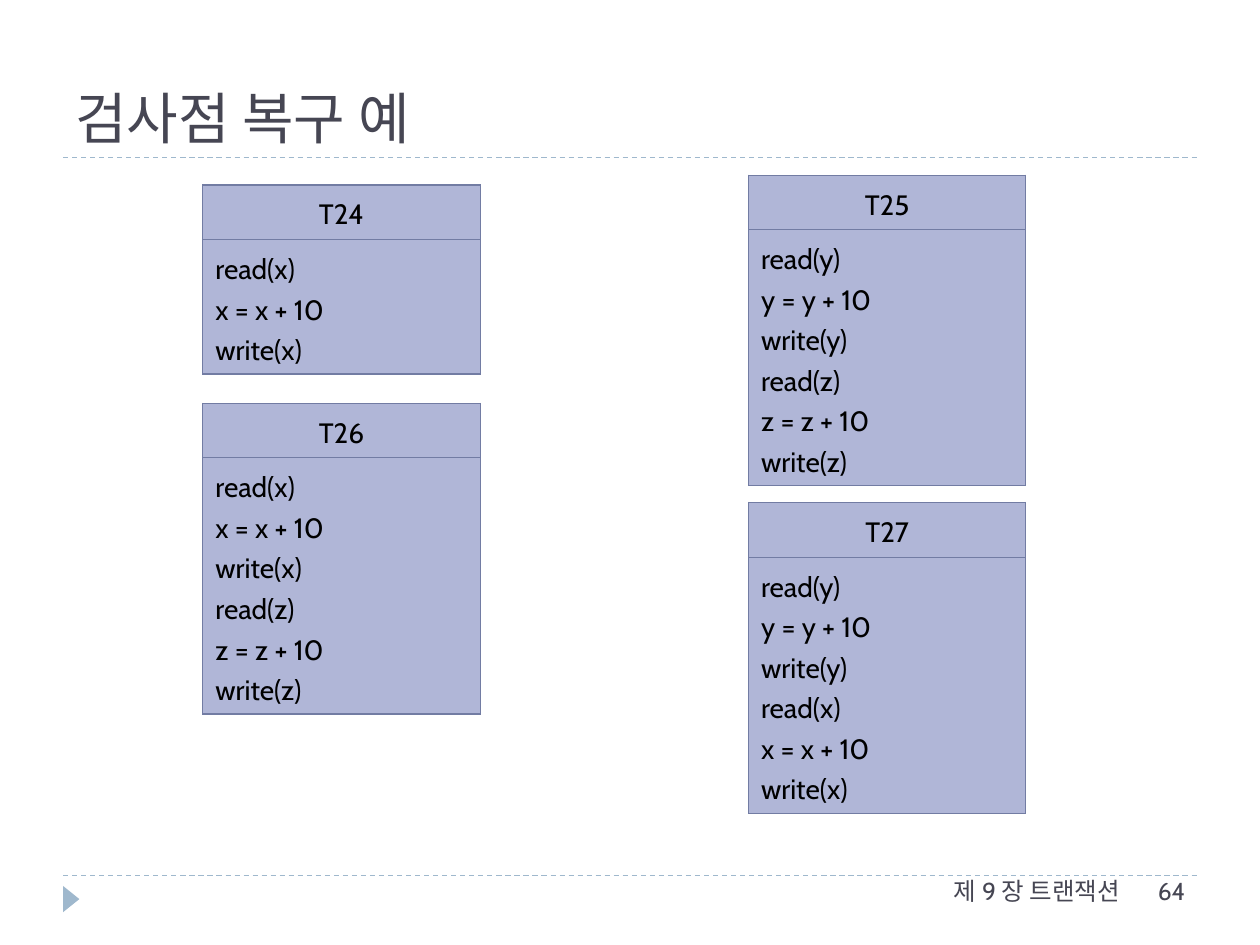
from dataclasses import dataclass

from lxml import etree
from pptx import Presentation
from pptx.dml.color import RGBColor
from pptx.enum.dml import MSO_LINE
from pptx.enum.shapes import MSO_CONNECTOR, MSO_SHAPE
from pptx.enum.text import MSO_ANCHOR, PP_ALIGN
from pptx.oxml.ns import qn
from pptx.util import Cm, Pt

LEFT, CENTER, RIGHT, JUSTIFY = PP_ALIGN.LEFT, PP_ALIGN.CENTER, PP_ALIGN.RIGHT, PP_ALIGN.JUSTIFY
TOP, BOTTOM = MSO_ANCHOR.TOP, MSO_ANCHOR.BOTTOM
DASH = MSO_LINE.DASH
STRAIGHT = MSO_CONNECTOR.STRAIGHT
TRIANGLE = MSO_SHAPE.ISOSCELES_TRIANGLE


@dataclass(frozen=True)
class Theme:
    text: str = "464653"
    code: str = "000000"
    accent: str = "9FB8CD"
    cell: str = "B0B6D7"
    border: str = "727CA3"
    title_font: str = "Arial"
    body_font: str = "Cabin"
    title_size: float = 32
    code_size: float = 16
    footer_size: float = 14
    line_width: float = 0.75


@dataclass(frozen=True)
class Transaction:
    name: str
    left: float
    top: float
    variables: str


@dataclass(frozen=True)
class Label:
    text: str
    left: float
    top: float
    width: float
    height: float
    size: float
    font: str
    align: PP_ALIGN = LEFT
    anchor: MSO_ANCHOR = TOP


THEME = Theme()
LEFT_COLUMN, RIGHT_COLUMN = 4.09, 15.09
TABLE_WIDTH = 5.59
LINE_HEIGHT, ROW_PADDING = 0.76, 0.34
RULE_START, RULE_END = 1.27, 24.13

TRANSACTIONS = [
    Transaction("T24", LEFT_COLUMN, 3.73, "x"),
    Transaction("T25", RIGHT_COLUMN, 3.53, "yz"),
    Transaction("T26", LEFT_COLUMN, 8.13, "xz"),
    Transaction("T27", RIGHT_COLUMN, 10.13, "yx"),
]
LABELS = [
    Label("검사점 복구 예", 1.27, 0.43, 22.86, 2.74, THEME.title_size, THEME.title_font,
          anchor=BOTTOM),
    Label("제 9 장 트랜잭션", 13.18, 17.53, 9.65, 1.02, THEME.footer_size, THEME.body_font,
          align=RIGHT),
    Label("64", 23.09, 17.53, 1.8, 1.02, THEME.footer_size, THEME.body_font),
]


def write_text(tf, lines: list[str], *, size: float, font: str, color: str,
               align: PP_ALIGN = LEFT, spacing: float = 1.0) -> None:
    for i, line in enumerate(lines):
        p = tf.add_paragraph() if i else tf.paragraphs[0]
        p.alignment = align
        p.line_spacing = spacing
        r = p.add_run()
        r.text = line
        r.font.size = Pt(size)
        r.font.name = font
        r.font.color.rgb = RGBColor.from_string(color)


def add_label(slide, label: Label) -> None:
    box = slide.shapes.add_textbox(Cm(label.left), Cm(label.top), Cm(label.width), Cm(label.height))
    tf = box.text_frame
    tf.word_wrap = True
    tf.vertical_anchor = label.anchor
    write_text(tf, [label.text], size=label.size, font=label.font, color=THEME.text,
               align=label.align)


def add_rule(slide, y: float) -> None:
    """Draw a dashed line across the slide."""
    line = slide.shapes.add_connector(STRAIGHT, Cm(RULE_START), Cm(y), Cm(RULE_END), Cm(y))
    line.line.color.rgb = RGBColor.from_string(THEME.accent)
    line.line.width = Pt(THEME.line_width)
    line.line.dash_style = DASH
    etree.SubElement(line._element.spPr, qn("a:effectLst"))


def add_page_marker(slide) -> None:
    sp = slide.shapes.add_shape(TRIANGLE, Cm(1.17), Cm(17.96), Cm(0.53), Cm(0.33))
    sp.rotation = 90
    sp.shadow.inherit = False
    sp.fill.solid()
    sp.fill.fore_color.rgb = RGBColor.from_string(THEME.accent)
    sp.line.fill.background()


def set_borders(cell) -> None:
    tc_pr = cell._tc.get_or_add_tcPr()
    for i, side in enumerate(("lnL", "lnR", "lnT", "lnB")):
        ln = etree.Element(qn(f"a:{side}"), w=str(Pt(THEME.line_width)))
        fill = etree.SubElement(ln, qn("a:solidFill"))
        etree.SubElement(fill, qn("a:srgbClr"), val=THEME.border)
        tc_pr.insert(i, ln)


def operations(variables: str) -> list[str]:
    return [line for v in variables for line in (f"read({v})", f"{v} = {v} + 10", f"write({v})")]


def add_transaction(slide, transaction: Transaction) -> None:
    rows = [([transaction.name], CENTER), (operations(transaction.variables), JUSTIFY)]
    heights = [Cm(LINE_HEIGHT * len(lines) + ROW_PADDING) for lines, _ in rows]
    frame = slide.shapes.add_table(len(rows), 1, Cm(transaction.left), Cm(transaction.top),
                                   Cm(TABLE_WIDTH), sum(heights))
    table = frame.table
    for i, (lines, align) in enumerate(rows):
        table.rows[i].height = heights[i]
        cell = table.cell(i, 0)
        cell.fill.solid()
        cell.fill.fore_color.rgb = RGBColor.from_string(THEME.cell)
        set_borders(cell)
        write_text(cell.text_frame, lines, size=THEME.code_size, font=THEME.body_font,
                   color=THEME.code, align=align, spacing=1.2)
        for p in cell.text_frame.paragraphs:
            for r in p.runs:
                r.font.bold = False


def main() -> None:
    prs = Presentation()
    prs.slide_width, prs.slide_height = Cm(25.4), Cm(19.05)
    slide = prs.slides.add_slide(prs.slide_layouts[6])
    for y in (17.65, 3.18):
        add_rule(slide, y)
    add_page_marker(slide)
    for transaction in TRANSACTIONS:
        add_transaction(slide, transaction)
    for label in LABELS:
        add_label(slide, label)
    prs.save("out.pptx")


if __name__ == "__main__":
    main()
